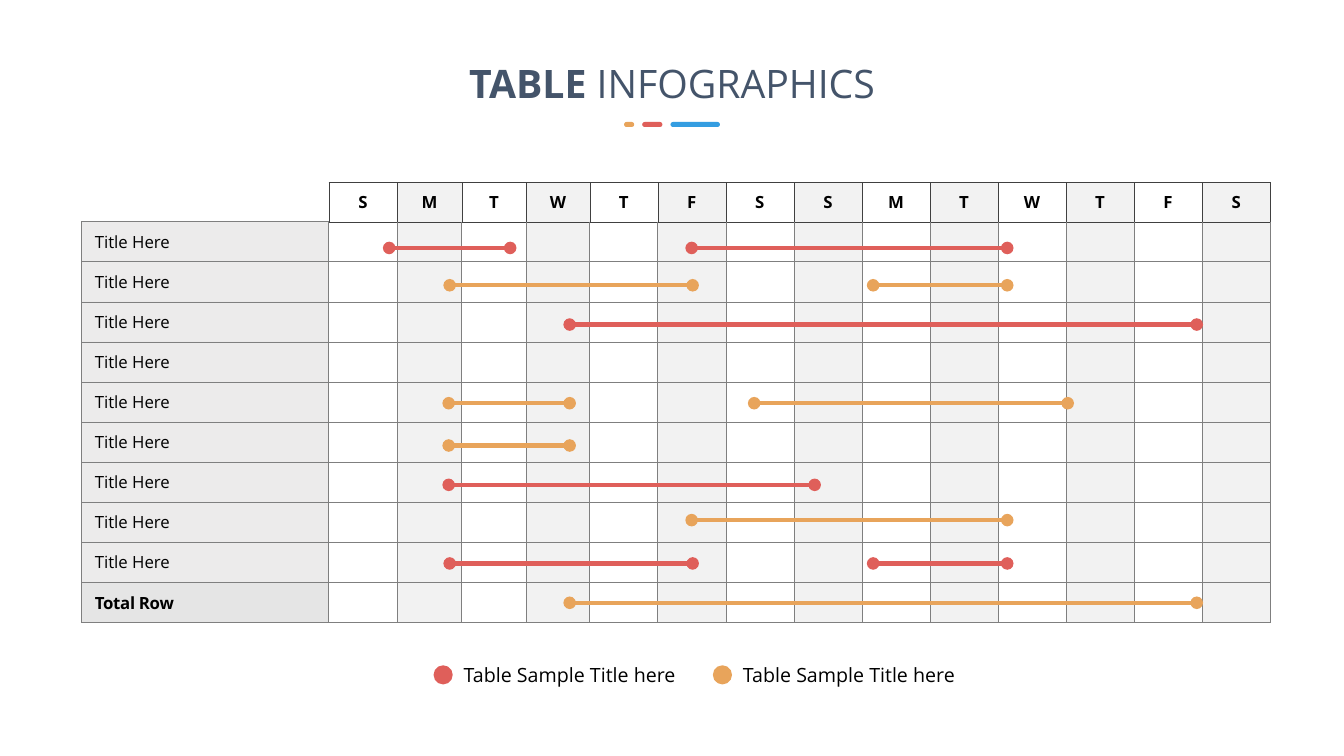
"""Build a two-week table schedule with coloured bars and a legend."""
from lxml.etree import SubElement
from pptx import Presentation
from pptx.dml.color import RGBColor
from pptx.enum.shapes import MSO_CONNECTOR, MSO_SHAPE
from pptx.enum.text import MSO_ANCHOR, MSO_AUTO_SIZE, PP_ALIGN
from pptx.oxml import parse_xml
from pptx.oxml.ns import nsdecls, qn
from pptx.util import Inches, Pt

COLORS = {
    "red": "DF5F5A", "orange": "E8A45B", "blue": "349DE1", "title": "44546A",
    "black": "000000", "white": "FFFFFF", "shade": "F2F2F2", "label": "D0CECE",
    "grid": "7F7F7F", "header_grid": "404040",
}
FONT = "Open Sans"
DAYS = "SMTWTFSSMTWTFS"
LABELS = ["Title Here"] * 9 + ["Total Row"]
TABLE_LEFT, TABLE_TOP, TABLE_WIDTH, TABLE_HEIGHT = 0.81, 1.81, 11.79, 4.37
HEADER_HEIGHT = 0.39
FIRST_COLUMNS = [2.45, 0.68, 0.64, 0.64, 0.63]


def style_font(font, size, color, bold=False):
    font.name, font.size, font.bold = FONT, Pt(size), bold
    font.color.rgb = RGBColor.from_string(COLORS[color])


def add_plain_shape(shapes, kind, left, top, width, height, color):
    shape = shapes.add_shape(kind, Inches(left), Inches(top), Inches(width), Inches(height))
    shape.shadow.inherit = False
    shape.fill.solid()
    shape.fill.fore_color.rgb = RGBColor.from_string(COLORS[color])
    shape.line.fill.background()
    return shape


presentation = Presentation()
presentation.slide_width, presentation.slide_height = Inches(13.33), Inches(7.5)
slide = presentation.slides.add_slide(presentation.slide_layouts[5])

title = slide.shapes.title
title.left, title.top, title.width, title.height = map(Inches, (2.89, 0.54, 7.55, 0.57))
title.text_frame.auto_size = MSO_AUTO_SIZE.SHAPE_TO_FIT_TEXT
title.text_frame.vertical_anchor = MSO_ANCHOR.TOP
paragraph = title.text_frame.paragraphs[0]
paragraph.alignment = PP_ALIGN.CENTER
for text, bold in (("TABLE ", True), ("INFOGRAPHICS", False)):
    run = paragraph.add_run()
    run.text = text
    style_font(run.font, 28, "title", bold)

table_frame = slide.shapes.add_table(
    len(LABELS) + 1, len(DAYS) + 1,
    *map(Inches, (TABLE_LEFT, TABLE_TOP, TABLE_WIDTH, TABLE_HEIGHT)))
table = table_frame.table
table.first_row = table.horz_banding = False
other_columns = len(DAYS) + 1 - len(FIRST_COLUMNS)
day_width = (TABLE_WIDTH - sum(FIRST_COLUMNS)) / other_columns
for column, width in zip(table.columns, FIRST_COLUMNS + [day_width] * other_columns):
    column.width = Inches(width)
row_height = (TABLE_HEIGHT - HEADER_HEIGHT) / len(LABELS)
for row, height in zip(table.rows, [HEADER_HEIGHT] + [row_height] * len(LABELS)):
    row.height = Inches(height)

for row_index in range(len(LABELS) + 1):
    for column_index in range(len(DAYS) + 1):
        cell = table.cell(row_index, column_index)
        cell.margin_left = cell.margin_right = Inches(0.13)
        cell.margin_top = cell.margin_bottom = 0
        cell.vertical_anchor = MSO_ANCHOR.MIDDLE
        is_header, is_label = row_index == 0, column_index == 0
        is_corner = is_header and is_label
        is_total = is_label and row_index == len(LABELS)

        if is_corner:
            cell.fill.background()
        else:
            cell.fill.solid()
            day_fill = "white" if column_index % 2 else "shade"
            label_fill = "black" if is_total else "label"
            fill_name = label_fill if is_label else day_fill
            cell.fill.fore_color.rgb = RGBColor.from_string(COLORS[fill_name])
            if is_label:
                color = cell.fill._xPr.find(qn("a:solidFill"))[0]
                SubElement(color, qn("a:alpha"), val="10000" if is_total else "40000")

        if is_header != is_label:
            paragraph = cell.text_frame.paragraphs[0]
            paragraph.alignment = PP_ALIGN.CENTER if is_header else PP_ALIGN.LEFT
            run = paragraph.add_run()
            run.text = DAYS[column_index - 1] if is_header else LABELS[row_index - 1]
            style_font(paragraph.font, 12, "black", is_header or is_total)
            if is_header or is_total:
                run._r.get_or_add_rPr().set("spc", "-20")

        for position, side in enumerate("LRTB"):
            dark = ((is_header and not is_label) or (is_corner and side == "R")
                    or (row_index == 1 and not is_label and side == "T"))
            if is_corner and side in "LT":
                paint = "<a:noFill/>"
            elif dark:
                paint = f'<a:solidFill><a:srgbClr val="{COLORS["header_grid"]}"/></a:solidFill>'
            else:
                paint = (f'<a:solidFill><a:srgbClr val="{COLORS["grid"]}">'
                         '<a:alpha val="50000"/></a:srgbClr></a:solidFill>')
            border = parse_xml(f'<a:ln{side} {nsdecls("a")} w="{Pt(0.25 if dark else 0.5)}">'
                               f'{paint}</a:ln{side}>')
            cell._tc.get_or_add_tcPr().insert(position, border)

BARS = [
    (2.46, "red", [(3.86, 5.06), (6.86, 9.99)]),
    (2.83, "orange", [(4.46, 6.87), (8.66, 9.99)]),
    (3.22, "red", [(5.65, 11.87)]),
    (4.0, "orange", [(4.45, 5.65), (7.48, 10.59)]),
    (4.42, "orange", [(4.45, 5.65)]),
    (4.81, "red", [(4.45, 8.08)]),
    (5.16, "orange", [(6.86, 9.99)]),
    (5.59, "red", [(4.46, 6.87), (8.66, 9.99)]),
    (5.98, "orange", [(5.65, 11.87)]),
]
for top, color, spans in BARS:
    for start, end in spans:
        bar = slide.shapes.add_connector(
            MSO_CONNECTOR.STRAIGHT, Inches(start), Inches(top), Inches(end), Inches(top))
        bar.line.color.rgb = RGBColor.from_string(COLORS[color])
        bar.line.width = Pt(3)
        line = bar.line._get_or_add_ln()
        SubElement(line, qn("a:headEnd"), type="oval")
        SubElement(line, qn("a:tailEnd"), type="oval")
        SubElement(bar._element.spPr, qn("a:effectLst"))

for left, color in ((4.3, "red"), (7.07, "orange")):
    legend = slide.shapes.add_group_shape()
    add_plain_shape(legend.shapes, MSO_SHAPE.OVAL, left, 6.6, 0.19, 0.19, color)
    caption = legend.shapes.add_textbox(
        Inches(left + 0.2), Inches(6.55), Inches(2.51), Inches(0.32))
    caption.text_frame.word_wrap = True
    paragraph = caption.text_frame.paragraphs[0]
    paragraph.text = "Table Sample Title here"
    paragraph.line_spacing = 0.9
    style_font(paragraph.font, 14, "black")

accent = slide.shapes.add_group_shape()
for left, width, color in ((6.65, 0.49, "blue"), (6.37, 0.2, "red"), (6.19, 0.1, "orange")):
    dash = add_plain_shape(
        accent.shapes, MSO_SHAPE.ROUNDED_RECTANGLE, left, 1.21, width, 0.05, color)
    dash.adjustments[0] = 0.5

presentation.save("out.pptx")
